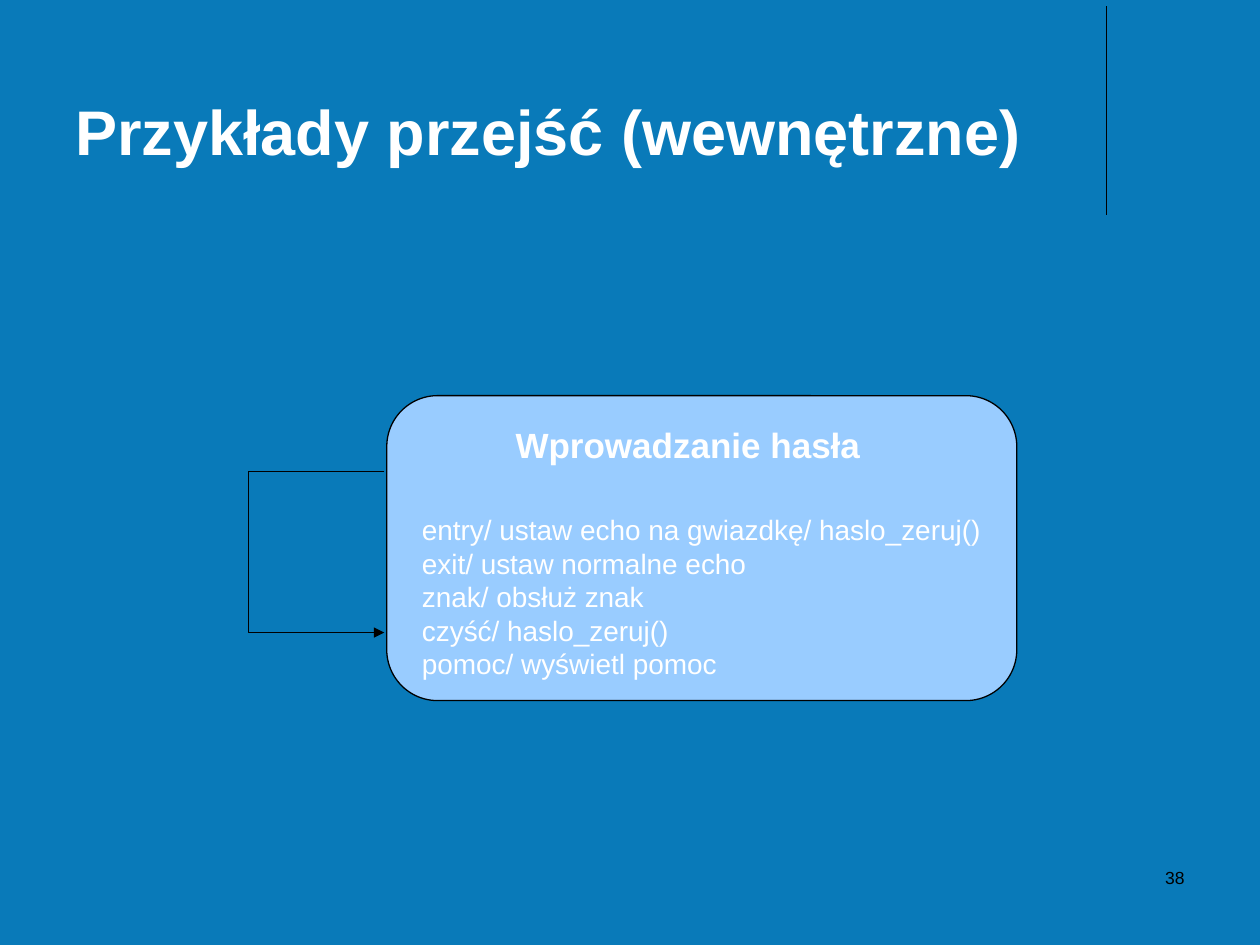
from lxml import etree
from pptx import Presentation
from pptx import util as u
from pptx.dml.color import RGBColor
from pptx.enum import shapes as sh, text as tx
from pptx.oxml.ns import qn

Inches = u.Inches


def color(hue):
    return RGBColor.from_string(hue)


def add_text(box, lines, size, hue="FFFFFF", bold=False,
             align=tx.PP_ALIGN.LEFT, anchor=tx.MSO_ANCHOR.TOP, wrap=True):
    frame = slide.shapes.add_textbox(*map(Inches, box)).text_frame
    frame.word_wrap = wrap
    if not wrap:
        frame.auto_size = tx.MSO_AUTO_SIZE.SHAPE_TO_FIT_TEXT
    frame.vertical_anchor = anchor
    frame.text = "\n".join(lines)
    for para in frame.paragraphs:
        para.alignment = align
        for run in para.runs:
            run.font.name = "Arial"
            run.font.size = u.Pt(size)
            run.font.bold = bold
            run.font.color.rgb = color(hue)


deck = Presentation()
deck.slide_width, deck.slide_height = Inches(10), Inches(7.5)
slide = deck.slides.add_slide(deck.slide_layouts[6])
slide.background.fill.solid()
slide.background.fill.fore_color.rgb = color("097AB9")

# Title and the rule beside it
rule = slide.shapes.add_connector(sh.MSO_CONNECTOR.STRAIGHT, Inches(8.78),
                                  Inches(0.05), Inches(8.78), Inches(1.71))
rule.line.color.rgb = color("000000")
rule.line.width = u.Pt(0.75)
etree.SubElement(rule.element.spPr, qn("a:effectLst"))
add_text((0.5, 0.13, 8.25, 1.25), ["Przykłady przejść (wewnętrzne)"], 36,
         bold=True, anchor=tx.MSO_ANCHOR.BOTTOM)

# State with its actions
state = slide.shapes.add_shape(sh.MSO_SHAPE.ROUNDED_RECTANGLE, Inches(3.07),
                               Inches(3.14), Inches(5), Inches(2.42))
state.shadow.inherit = False
state.fill.solid()
state.fill.fore_color.rgb = color("99CCFF")
state.line.color.rgb = color("000000")
state.line.width = u.Pt(0.75)
add_text((3.25, 4.02, 4.65, 1.44), [
    "entry/ ustaw echo na gwiazdkę/ haslo_zeruj()",
    "exit/ ustaw normalne echo",
    "znak/ obsłuż znak",
    "czyść/ haslo_zeruj()",
    "pomoc/ wyświetl pomoc",
], 16, wrap=False)
add_text((3.99, 3.31, 2.94, 0.44), ["Wprowadzanie hasła"], 20, bold=True,
         align=tx.PP_ALIGN.CENTER, wrap=False)

# Arrow from the state back to itself
left, right, top, low = map(Inches, (1.97, 3.05, 3.74, 5.02))
pen = slide.shapes.build_freeform(right, top)
pen.add_line_segments([(left, top), (left, low), (right, low)], close=False)
loop = pen.convert_to_shape()
loop.shadow.inherit = False
loop.fill.background()
loop.line.color.rgb = color("000000")
loop.line.width = 0
etree.SubElement(loop.element.spPr.find(qn("a:ln")), qn("a:tailEnd"),
                 type="triangle")

add_text((7.17, 6.83, 2.33, 0.5), ["38"], 10, "000000",
         align=tx.PP_ALIGN.RIGHT)

deck.save("out.pptx")
